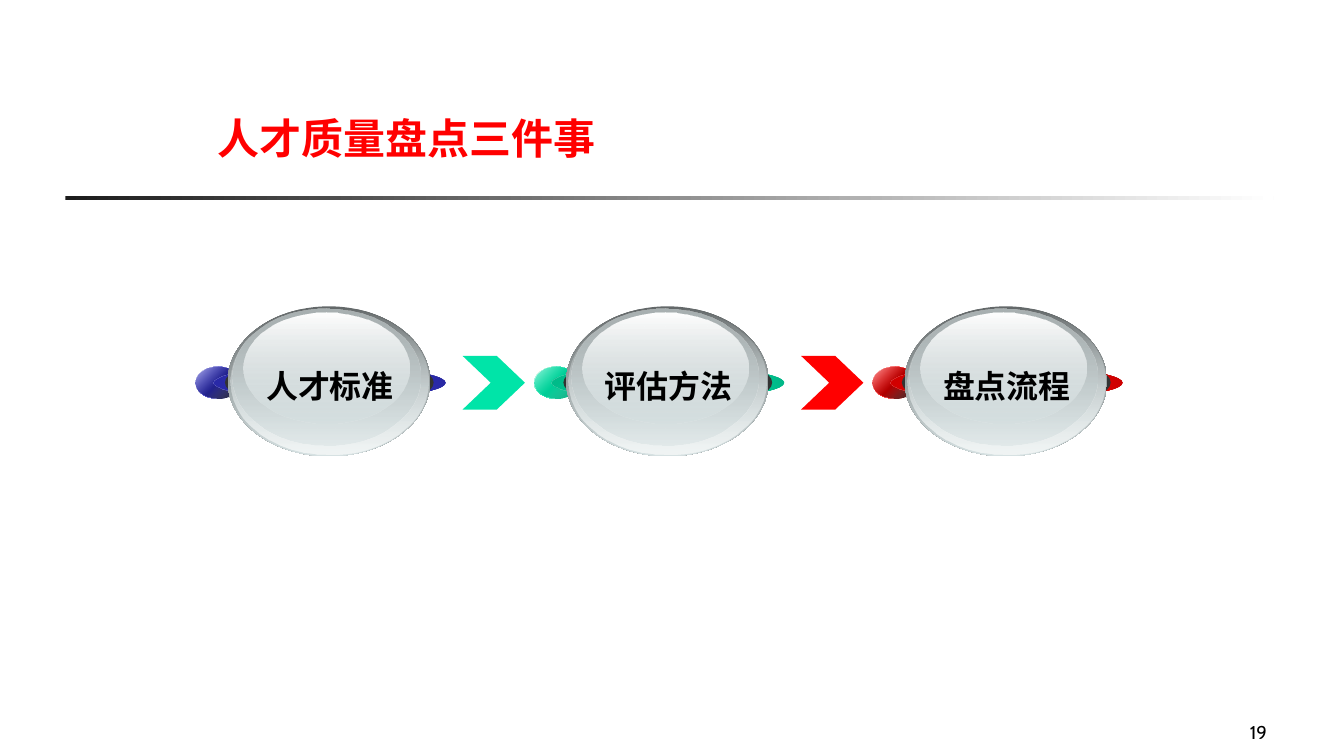
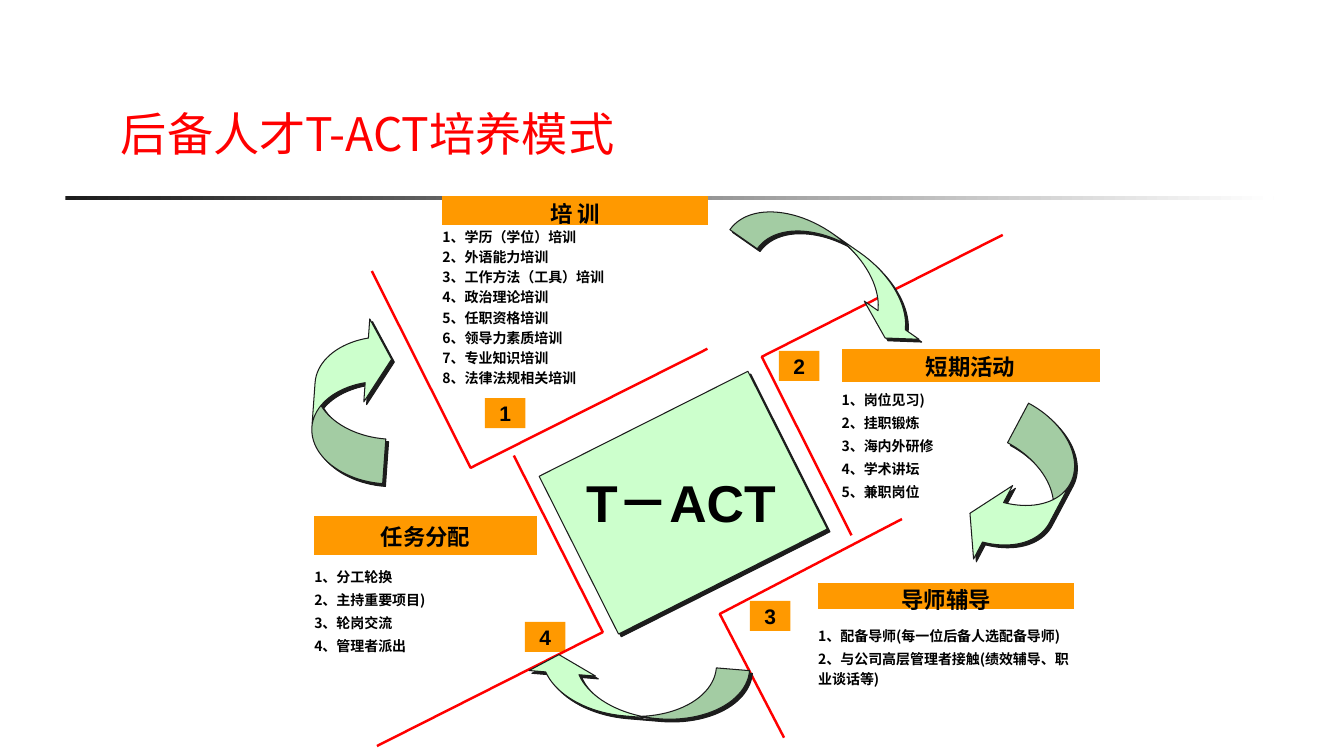
import pptx
import pptx.dml.color
import pptx.enum.shapes
import pptx.enum.text
import pptx.oxml.ns
import pptx.util
from dataclasses import dataclass
from lxml import etree

Cm, Pt = pptx.util.Cm, pptx.util.Pt
Kind = pptx.enum.shapes.MSO_SHAPE
Anchor = pptx.enum.text.MSO_ANCHOR
Align = pptx.enum.text.PP_ALIGN
qn = pptx.oxml.ns.qn


@dataclass(frozen=True)
class Theme:
    cjk: str = "Noto Sans CJK SC"
    latin: str = "Arial"
    page_font: str = "Cabin"
    black: str = "000000"
    white: str = "FFFFFF"
    ink: str = "1C1C1C"
    core: str = "333333"
    red: str = "FF0000"
    orange: str = "FF9900"
    mint: str = "CCFFCC"
    glass: str = "D6E1E2"
    bead_size: float = 22.8
    page_size: float = 13.2
    center_size: float = 37
    badge_size: float = 15
    head_size: float = 16
    body_size: float = 10


THEME = Theme()

# Content: lengths in cm, boxes as (left, top, width, height)
RULE = (1.65, 4.95, 30.45, 0.08)
STEPS = {
    "title": "人才质量盘点三件事",
    "page": "19",
    # label, base, knob end (colour, opacity), band edge, band sheen, next arrow
    "beads": [
        ("人才标准", "3333CC", ("000000", 90), "27279C", "2A2AA7", "00E4A8"),
        ("评估方法", "00E4A8", ("00A378", 100), "00AF81", "00BB8A", "FF0000"),
        ("盘点流程", "FF0000", ("000000", 90), "C30000", "D10000", None),
    ],
}
MODEL = {
    "title": "后备人才T-ACT培养模式",
    "center": "T－ACT",
    "badges": [("1", 12.22, 10.03), ("2", 19.63, 8.84),
               ("3", 18.9, 15.14), ("4", 13.23, 15.67)],
    "brackets": [
        [(22.73, 13.08), (18.14, 15.47), (19.76, 18.59)],
        [(9.5, 18.8), (15.19, 15.93), (12.95, 11.48)],
        [(17.83, 8.79), (11.86, 11.79), (9.37, 6.83)],
        [(25.27, 5.92), (19.2, 8.99), (21.46, 13.49)],
    ],
    # left, top, width, row heights, item gap, heading, items
    "tables": [
        (11.15, 4.95, 6.68, (0.71, 4.15), 0, "培 训",
         ["学历（学位）培训", "外语能力培训", "工作方法（工具）培训", "政治理论培训",
          "任职资格培训", "领导力素质培训", "专业知识培训", "法律法规相关培训"]),
        (21.21, 8.79, 6.5, (0.84, 3.18), 2, "短期活动",
         ["岗位见习)", "挂职锻炼", "海内外研修", "学术讲坛", "兼职岗位"]),
        (20.62, 14.68, 6.45, (0.66, 2.41), 2, "导师辅导",
         ["配备导师(每一位后备人选配备导师)",
          "与公司高层管理者接触(绩效辅导、职业谈话等)"]),
        (7.92, 13, 5.61, (0.99, 2.79), 2, "任务分配",
         ["分工轮换", "主持重要项目)", "轮岗交流", "管理者派出"]),
    ],
    # box before turning, rotation
    "arrows": [
        ((18.29, 6.12, 5.61, 1.4), 34.9),
        ((23.67, 11.51, 4.19, 1.88), 118),
        ((13.18, 16.66, 5.66, 1.4), 184.8),
        ((6.76, 9.09, 4.19, 1.88), 274.1),
    ],
}


# Drawing helpers
def rgb(value):
    return pptx.dml.color.RGBColor.from_string(value)


def paint_gradient(shape, stops, angle):
    """Stops are (position, colour) or (position, colour, opacity)."""
    shape.fill.gradient()
    gradient = shape.element.spPr.find(qn("a:gradFill"))
    gradient.clear()
    gradient.set("rotWithShape", "1")
    stop_list = etree.SubElement(gradient, qn("a:gsLst"))
    for position, colour, *opacity in stops:
        stop = etree.SubElement(stop_list, qn("a:gs"), pos=str(position * 1000))
        tint = etree.SubElement(stop, qn("a:srgbClr"), val=colour)
        if opacity and opacity[0] < 100:
            etree.SubElement(tint, qn("a:alpha"), val=str(opacity[0] * 1000))
    etree.SubElement(gradient, qn("a:lin"), ang=str(angle * 60000), scaled="0")


def add_shape(page, kind, box, fill, angle=0):
    shape = page.shapes.add_shape(kind, *map(Cm, box))
    shape.shadow.inherit = False
    shape.line.fill.background()
    if isinstance(fill, str):
        shape.fill.solid()
        shape.fill.fore_color.rgb = rgb(fill)
    else:
        paint_gradient(shape, fill, angle)
    return shape


def add_raised(page, kind, box, rotation):
    """Outlined mint shape with a hard shadow."""
    shape = add_shape(page, kind, box, THEME.mint)
    shape.rotation = rotation
    shape.line.color.rgb = rgb(THEME.ink)
    shape.line.width = Pt(0.75)
    effects = shape.element.spPr.find(qn("a:effectLst"))
    shadow = etree.SubElement(effects, qn("a:outerShdw"), blurRad="0",
                              dist=str(Pt(2.8)), dir=str(45 * 60000),
                              algn="ctr", rotWithShape="0")
    etree.SubElement(shadow, qn("a:srgbClr"), val=THEME.ink)
    return shape


def write(frame, lines, size, font=THEME.cjk, colour=THEME.black, bold=True,
          align=Align.LEFT, gap=0):
    frame.text = "\n".join(lines)
    for para in frame.paragraphs:
        para.alignment = align
        para.space_before = Pt(gap)
        for span in para.runs:
            span.font.size = Pt(size)
            span.font.bold = bold
            span.font.name = font
            span.font.color.rgb = rgb(colour)
            etree.SubElement(span.font._element, qn("a:ea"), typeface=font)


def clear_margins(holder):
    holder.margin_left = holder.margin_right = 0
    holder.margin_top = holder.margin_bottom = 0


def clear_borders(cell):
    """Borders come before the fill in the cell properties."""
    properties = cell._tc.get_or_add_tcPr()
    for index, side in enumerate(("a:lnL", "a:lnR", "a:lnT", "a:lnB")):
        border = etree.Element(qn(side), w="0")
        etree.SubElement(border, qn("a:noFill"))
        properties.insert(index, border)


def add_text(page, box, text, size, anchor=Anchor.TOP, wrap=True, **style):
    frame = page.shapes.add_textbox(*map(Cm, box)).text_frame
    frame.word_wrap = wrap
    frame.vertical_anchor = anchor
    write(frame, [text], size, **style)
    return frame


def add_title(page, box, text, size, bold, anchor):
    add_text(page, box, text, size, anchor, colour=THEME.red, bold=bold)


# Steps slide
def add_bead(page, left, label, base, knob_end, edge, sheen):
    white, glass = THEME.white, THEME.glass
    knob, band = (0, 9.24, 1.12, 0.81), (0.44, 9.24, 5.86, 0.81)
    layers = [
        (knob, [(0, white), (50, base), (100, white)], 45),
        (knob, [(0, base, 32), (100, *knob_end)], 45),
        (band, [(0, edge), (50, base), (100, edge)], 315),
        (band, [(0, sheen), (100, base, 0)], 45),
        ((0.74, 8.94, 5.26, 1.4), THEME.core, 0),
        ((0.81, 7.72, 5.1, 3.78), [(0, "636869"), (100, glass)], 90),
        ((0.88, 7.75, 4.98, 3.71), [(0, glass, 0), (100, "F1F5F5")], 90),
        ((0.94, 7.77, 4.72, 3.45), [(0, "AAB2B3"), (100, glass, 48)], 90),
        ((1.21, 7.87, 4.19, 2.79), [(0, white), (100, glass, 38)], 90),
    ]
    for (shift, *rest), fill, angle in layers:
        add_shape(page, Kind.OVAL, (left + shift, *rest), fill, angle)
    add_text(page, (left + 1.52, 9.12, 3.73, 1.22), label, THEME.bead_size,
             wrap=False, align=Align.CENTER)


def build_steps(page):
    first_left, pitch = 4.93, 8.53
    for index, (*bead, arrow) in enumerate(STEPS["beads"]):
        left = first_left + index * pitch
        if arrow:
            chevron = add_shape(page, Kind.CHEVRON,
                                (left + 6.73, 8.97, 1.57, 1.35), arrow)
            chevron.adjustments[0] = 0.525
        add_bead(page, left, *bead)
    add_title(page, (5.23, 2.72, 13.92, 1.52), STEPS["title"], 30, True,
              Anchor.TOP)
    add_text(page, (25.12, 17.58, 7.06, 1.27), STEPS["page"], THEME.page_size,
             Anchor.BOTTOM, font=THEME.page_font, bold=False, align=Align.RIGHT)


# Model slide
def add_badge(page, number, left, top):
    badge = add_shape(page, Kind.RECTANGLE, (left, top, 1.02, 0.76), THEME.orange)
    frame = badge.text_frame
    clear_margins(frame)
    frame.word_wrap = False
    frame.vertical_anchor = Anchor.MIDDLE
    write(frame, [number], THEME.badge_size, THEME.latin, align=Align.CENTER)


def add_bracket(page, points):
    start, *others = [(Cm(x), Cm(y)) for x, y in points]
    builder = page.shapes.build_freeform(*start)
    builder.add_line_segments(others, close=False)
    bracket = builder.convert_to_shape()
    bracket.shadow.inherit = False
    bracket.fill.background()
    bracket.line.color.rgb = rgb(THEME.red)
    bracket.line.width = Pt(1.75)


def add_list(page, left, top, width, heights, gap, heading, items):
    box = (left, top, width, sum(heights))
    table = page.shapes.add_table(2, 1, *map(Cm, box)).table
    table.first_row = table.horz_banding = False
    for row, height in zip(table.rows, heights):
        row.height = Cm(height)
    head, body = table.cell(0, 0), table.cell(1, 0)
    head.fill.solid()
    head.fill.fore_color.rgb = rgb(THEME.orange)
    body.fill.background()
    for cell in (head, body):
        clear_margins(cell)
        clear_borders(cell)
        cell.vertical_anchor = Anchor.MIDDLE
    write(head.text_frame, [heading], THEME.head_size, align=Align.CENTER, gap=3.2)
    lines = [f"{number}、{item}" for number, item in enumerate(items, 1)]
    write(body.text_frame, lines, THEME.body_size, gap=gap)


def build_model(page):
    for badge in MODEL["badges"]:
        add_badge(page, *badge)
    add_raised(page, Kind.RECTANGLE, (14.27, 10.44, 5.89, 4.45), 153.3)
    for points in MODEL["brackets"]:
        add_bracket(page, points)
    center = add_text(page, (14.3, 11.86, 5.72, 1.57), MODEL["center"],
                      THEME.center_size, Anchor.MIDDLE, font=THEME.latin,
                      align=Align.CENTER)
    clear_margins(center)
    for table in MODEL["tables"]:
        add_list(page, *table)
    for box, rotation in MODEL["arrows"]:
        arrow = add_raised(page, Kind.CURVED_DOWN_ARROW, box, rotation)
        for index, value in enumerate((0.6, 1.2, 0.33)):
            arrow.adjustments[index] = value
    add_title(page, (2.8, 2.34, 14.22, 2.01), MODEL["title"], 33, False,
              Anchor.MIDDLE)


def main():
    deck = pptx.Presentation()
    deck.slide_width, deck.slide_height = Cm(33.87), Cm(19.05)
    blank = deck.slide_layouts[6]
    pages = [deck.slides.add_slide(blank) for _ in range(2)]
    # The title rule moves to the layout, so both slides share it
    rule = add_shape(pages[0], Kind.RECTANGLE, RULE,
                     [(0, THEME.ink), (100, THEME.white)])
    blank.shapes.element.append(rule.element)
    for build, page in zip((build_steps, build_model), pages):
        build(page)
    deck.save("out.pptx")


if __name__ == "__main__":
    main()
